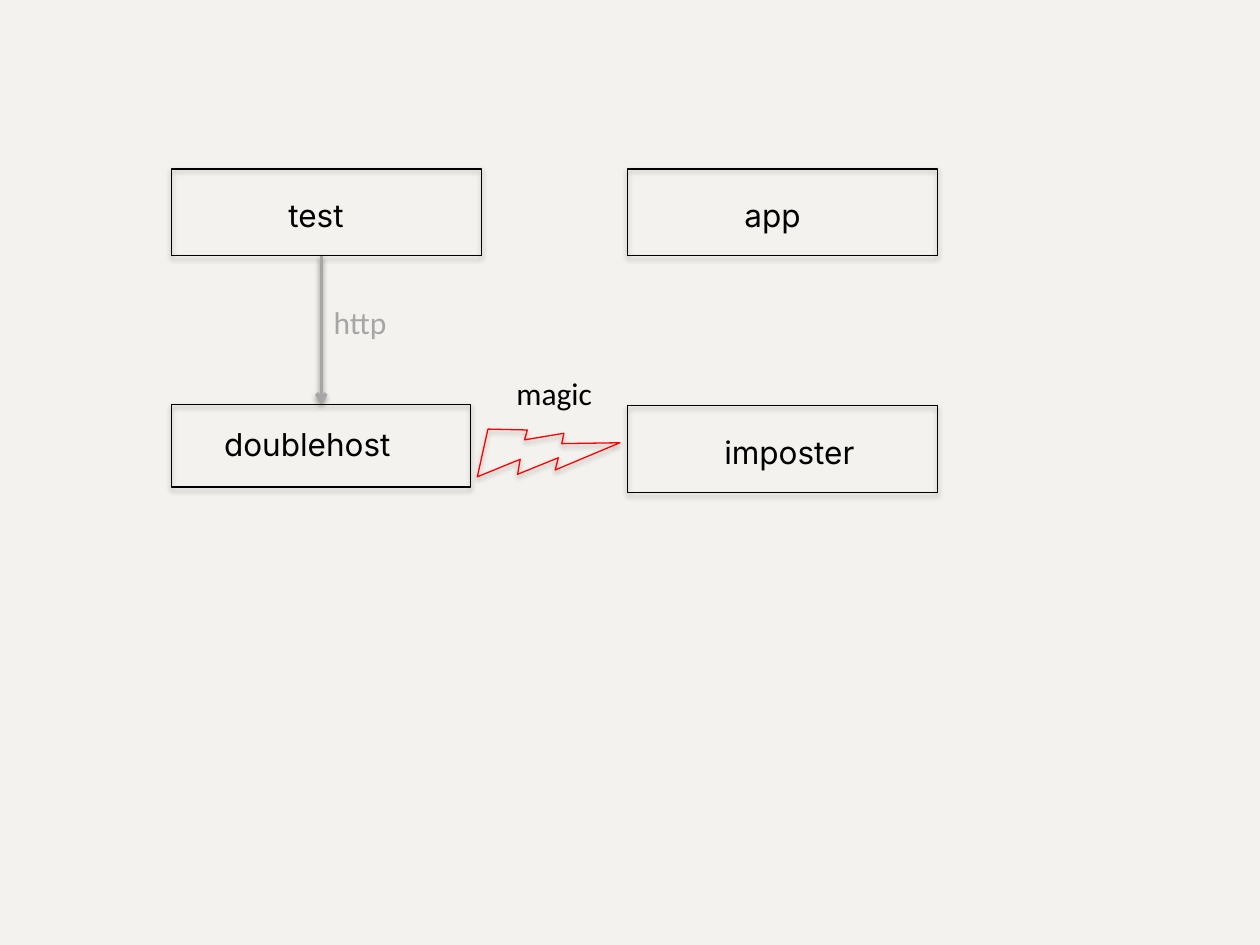
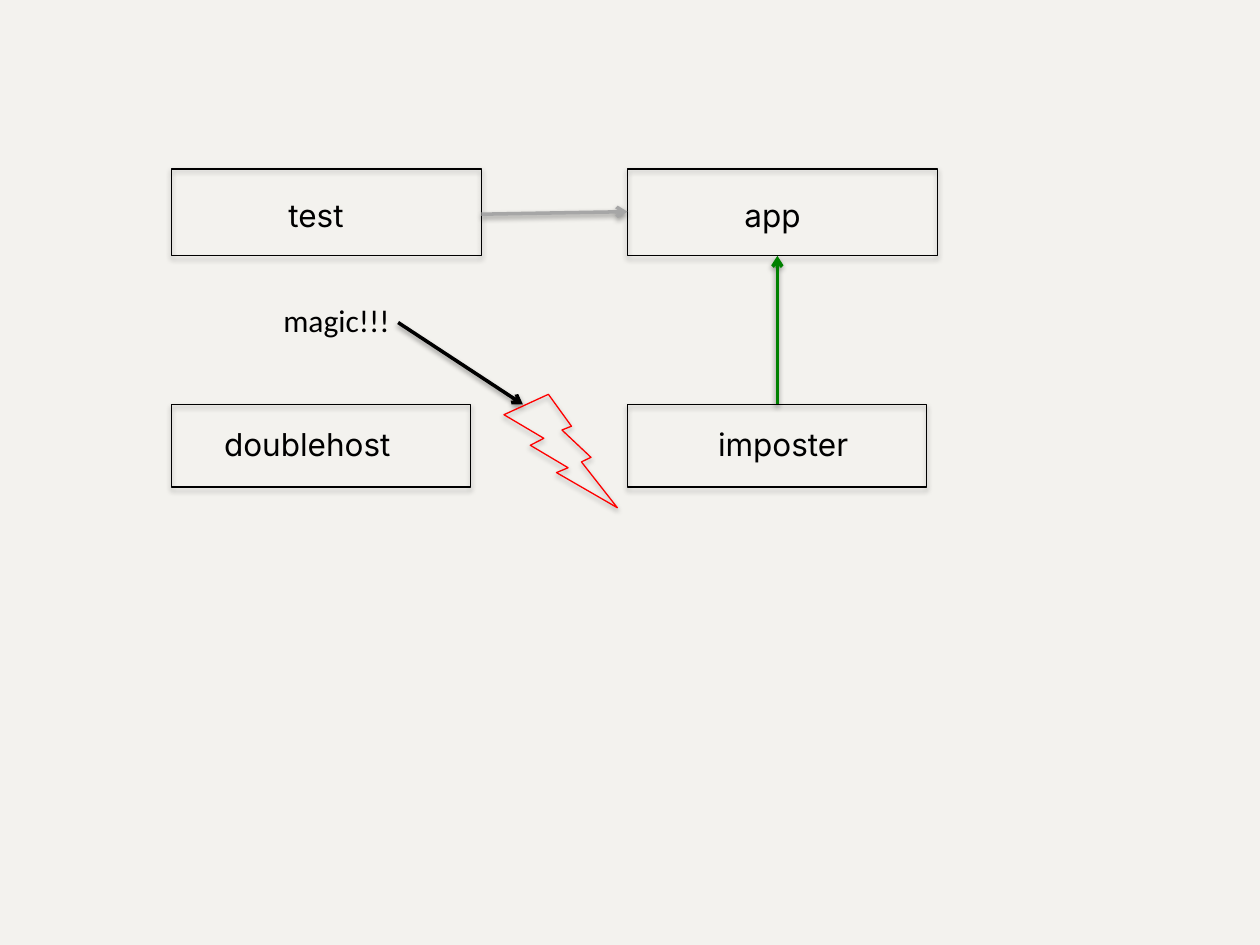
from dataclasses import dataclass

from lxml import etree
from pptx import Presentation
from pptx import util as u
from pptx.dml.color import RGBColor
from pptx.enum import shapes, text
from pptx.oxml import ns


@dataclass(frozen=True)
class Theme:
    paper: str = "F3F2EE"
    ink: str = "000000"
    muted: str = "A6A6A6"
    reply: str = "008000"
    bolt: str = "FF0000"
    box_font: str = "Inter"
    note_font: str = "Calibri"
    size: float = 18
    outline: float = 0.75
    arrow: float = 2


@dataclass(frozen=True)
class Shadow:
    blur: float
    distance: float
    alpha: int


@dataclass(frozen=True)
class BoxSize:
    width: float
    height: float
    label_width: float
    label_top: float


@dataclass(frozen=True)
class Box:
    name: str
    left: float
    top: float
    size: BoxSize
    indent: float


@dataclass(frozen=True)
class Arrow:
    start: tuple[float, float]
    end: tuple[float, float]
    color: str


@dataclass(frozen=True)
class Note:
    words: str
    left: float
    top: float
    width: float
    color: str


@dataclass(frozen=True)
class Bolt:
    left: float
    top: float
    rotation: float = 0


@dataclass(frozen=True)
class Diagram:
    boxes: list[Box]
    arrows: list[Arrow]
    bolt: Bolt
    notes: list[Note]


THEME = Theme()
SHAPE_SHADOW = Shadow(3.1, 1.8, 35)
ARROW_SHADOW = Shadow(3.1, 1.6, 38)
COLUMNS = 100
BOLT_SIDE = 9
NOTE_HEIGHT = 4
WIDE = BoxSize(24.6, 6.9, 18.2, 1.7)
NARROW = BoxSize(23.75, 6.55, 17.5, 1.15)
LEFT, RIGHT = 13.6, 49.8
UPPER, LOWER = 13.4, 32.1
UPPER_EDGE = UPPER + WIDE.height

prs = Presentation()
prs.slide_width, prs.slide_height = u.Inches(10), u.Inches(7.5)
prs.slide_master.background.fill.solid()
prs.slide_master.background.fill.fore_color.rgb = RGBColor.from_string(THEME.paper)


def grid(*cells: float) -> list[int]:
    return [round(c * prs.slide_width / COLUMNS) for c in cells]


def cast_shadow(sp, shadow: Shadow) -> None:
    effects = etree.SubElement(sp.element.spPr, ns.qn("a:effectLst"))
    outer = etree.SubElement(
        effects, ns.qn("a:outerShdw"),
        blurRad=str(u.Pt(shadow.blur)), dist=str(u.Pt(shadow.distance)),
        dir=str(90 * 60000), rotWithShape="0")
    color = etree.SubElement(outer, ns.qn("a:srgbClr"), val=THEME.ink)
    etree.SubElement(color, ns.qn("a:alpha"), val=str(shadow.alpha * 1000))


def set_line(sp, color: str, width: float, shadow: Shadow) -> None:
    sp.line.color.rgb = RGBColor.from_string(color)
    sp.line.width = u.Pt(width)
    cast_shadow(sp, shadow)


def add_outline(parent, kind, cells: tuple, color: str):
    sp = parent.add_shape(kind, *grid(*cells))
    sp.fill.background()
    set_line(sp, color, THEME.outline, SHAPE_SHADOW)
    return sp


def add_text(parent, words: str, cells: tuple, font: str, color: str, wrap: bool) -> None:
    tf = parent.add_textbox(*grid(*cells)).text_frame
    tf.text = words
    tf.word_wrap = wrap
    tf.auto_size = text.MSO_AUTO_SIZE.SHAPE_TO_FIT_TEXT
    r = tf.paragraphs[0].runs[0]
    r.font.name, r.font.size = font, u.Pt(THEME.size)
    r.font.color.rgb = RGBColor.from_string(color)


def add_box(s, box: Box) -> None:
    group = s.shapes.add_group_shape().shapes
    size = box.size
    add_outline(group, shapes.MSO_SHAPE.RECTANGLE,
                (box.left, box.top, size.width, size.height), THEME.ink)
    add_text(group, box.name,
             (box.left + box.indent, box.top + size.label_top, size.label_width, NOTE_HEIGHT),
             THEME.box_font, THEME.ink, True)


def add_arrow(s, arrow: Arrow) -> None:
    sp = s.shapes.add_connector(shapes.MSO_CONNECTOR.STRAIGHT, *grid(*arrow.start, *arrow.end))
    set_line(sp, arrow.color, THEME.arrow, ARROW_SHADOW)
    etree.SubElement(sp.element.spPr.find(ns.qn("a:ln")), ns.qn("a:tailEnd"), type="arrow")


def add_bolt(s, bolt: Bolt) -> None:
    sp = add_outline(s.shapes, shapes.MSO_SHAPE.LIGHTNING_BOLT,
                     (bolt.left, bolt.top, BOLT_SIDE, BOLT_SIDE), THEME.bolt)
    sp.rotation = bolt.rotation


def add_note(s, note: Note) -> None:
    add_text(s.shapes, note.words, (note.left, note.top, note.width, NOTE_HEIGHT),
             THEME.note_font, note.color, False)


def add_diagram(diagram: Diagram) -> None:
    s = prs.slides.add_slide(prs.slide_layouts[6])
    for box in SHARED_BOXES + diagram.boxes:
        add_box(s, box)
    for arrow in diagram.arrows:
        add_arrow(s, arrow)
    add_bolt(s, diagram.bolt)
    for note in diagram.notes:
        add_note(s, note)


SHARED_BOXES = [
    Box("test", LEFT, UPPER, WIDE, 8.3),
    Box("doublehost", LEFT, LOWER, NARROW, 3.2),
    Box("app", RIGHT, UPPER, WIDE, 8.3),
]

setup = Diagram(
    boxes=[Box("imposter", RIGHT, LOWER + 0.1, WIDE, 6.7)],
    arrows=[Arrow((25.5, UPPER_EDGE), (25.5, LOWER), THEME.muted)],
    bolt=Bolt(38.4, 31.5, 307.2),
    notes=[
        Note("http", 25.5, 23.6, 6.3, THEME.muted),
        Note("magic", 40, 29.2, 8.1, THEME.ink),
    ],
)
exchange = Diagram(
    boxes=[Box("imposter", RIGHT, LOWER, NARROW, 6.2)],
    arrows=[
        Arrow((LEFT + WIDE.width, 17), (RIGHT, 16.8), THEME.muted),
        Arrow((61.7, LOWER), (61.7, UPPER_EDGE), THEME.reply),
        Arrow((31.6, 25.6), (41.5, LOWER), THEME.ink),
    ],
    bolt=Bolt(40, 31.3),
    notes=[Note("magic!!!", 21.5, 23.4, 10.5, THEME.ink)],
)

for diagram in (setup, exchange):
    add_diagram(diagram)
prs.save("out.pptx")
